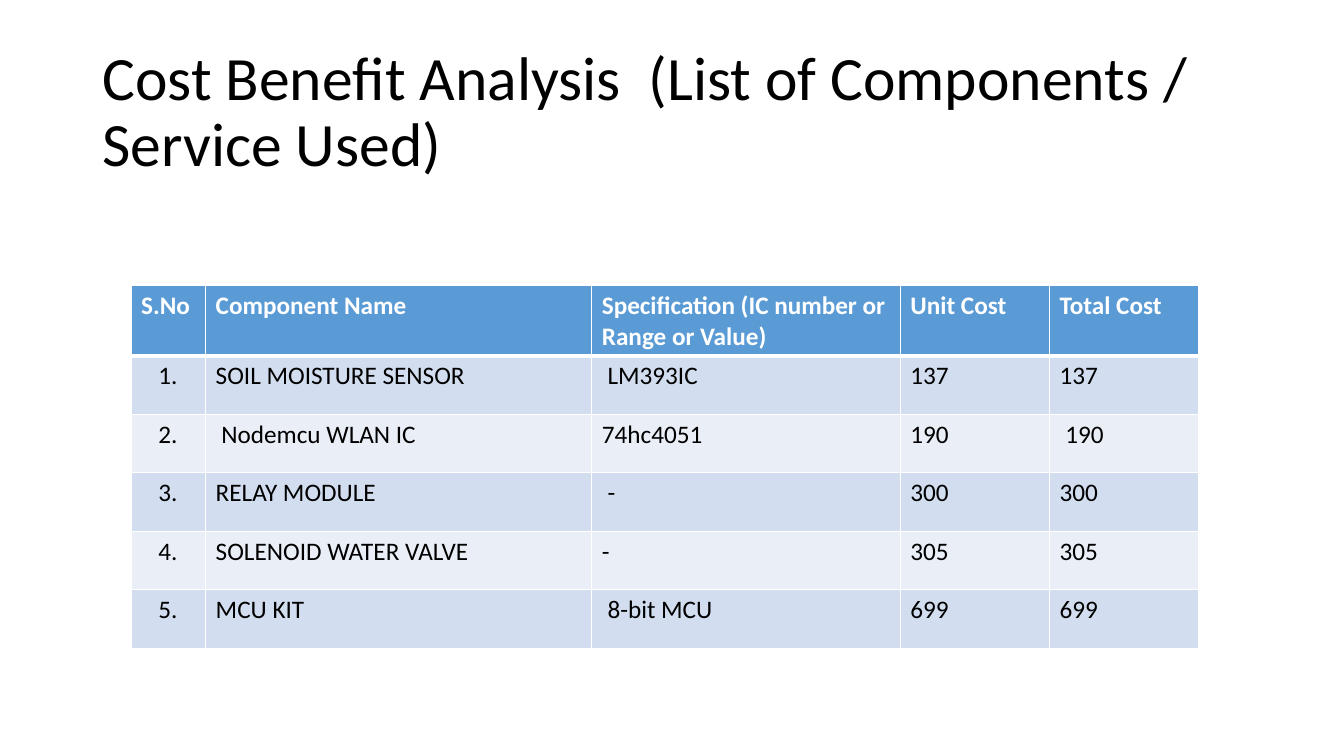
import pptx
import pptx.util
import pptx.dml.color
import pptx.enum.text
import pptx.oxml
import pptx.oxml.ns

TITLE = "Cost Benefit Analysis  (List of Components / Service Used)"
HEADINGS = ("S.No", "Component Name", "Specification (IC number or Range or Value)",
            "Unit Cost", "Total Cost")
COMPONENTS = [
    ("1.", "SOIL MOISTURE SENSOR", " LM393IC", "137", "137"),
    ("2.", " Nodemcu WLAN IC", "74hc4051", "190", " 190"),
    ("3.", "RELAY MODULE", " -", "300", "300"),
    ("4.", "SOLENOID WATER VALVE", "-", "305", "305"),
    ("5.", "MCU KIT", " 8-bit MCU", "699", "699"),
]
COLUMN_WIDTHS = (0.74, 3.83, 3.06, 1.48, 1.48)
HEADING_HEIGHT, COMPONENT_HEIGHT = 0.7, 0.58
NUMBER_INDENT = 0.27

THEME = {
    "font": "Calibri", "title_size": 44, "table_size": 18,
    "text": "000000", "heading_text": "FFFFFF", "heading_fill": "5B9BD5",
    "bands": ("D2DEEF", "EAEFF7"), "border": "FFFFFF",
    "border_width": 1, "heading_rule": 3,
}

Inches = pptx.util.Inches


def style(paragraph, size, color, bold=False):
    for run in paragraph.runs:
        run.font.name = THEME["font"]
        run.font.size = pptx.util.Pt(size)
        run.font.bold = bold
        run.font.color.rgb = pptx.dml.color.RGBColor.from_string(color)


def add_borders(cell, widths):
    properties = cell._tc.get_or_add_tcPr()
    for position, (side, width) in enumerate(widths.items()):
        properties.insert(position, pptx.oxml.parse_xml(
            f'<a:{side} {pptx.oxml.ns.nsdecls("a")} w="{pptx.util.Pt(width)}">'
            f'<a:solidFill><a:srgbClr val="{THEME["border"]}"/></a:solidFill></a:{side}>'))


def add_title(slide):
    box = slide.shapes.add_textbox(Inches(0.92), Inches(0.4), Inches(11.5), Inches(1.45))
    frame = box.text_frame
    frame.word_wrap = True
    frame.vertical_anchor = pptx.enum.text.MSO_ANCHOR.MIDDLE
    frame.text = TITLE
    frame.paragraphs[0].line_spacing = 0.9
    style(frame.paragraphs[0], THEME["title_size"], THEME["text"])


def add_cost_table(slide):
    rows = [HEADINGS, *COMPONENTS]
    heights = [HEADING_HEIGHT] + [COMPONENT_HEIGHT] * len(COMPONENTS)
    costs = slide.shapes.add_table(
        len(rows), len(HEADINGS), Inches(1.3), Inches(2.83),
        Inches(sum(COLUMN_WIDTHS)), Inches(sum(heights))).table
    for column, width in zip(costs.columns, COLUMN_WIDTHS):
        column.width = Inches(width)
    for r, (entries, height) in enumerate(zip(rows, heights)):
        costs.rows[r].height = Inches(height)
        heading = r == 0
        fill = THEME["heading_fill"] if heading else THEME["bands"][(r - 1) % 2]
        color = THEME["heading_text"] if heading else THEME["text"]
        borders = dict.fromkeys(("lnL", "lnR", "lnT", "lnB"), THEME["border_width"])
        if heading:
            borders["lnB"] = THEME["heading_rule"]
        elif r == 1:
            borders["lnT"] = THEME["heading_rule"]
        for c, entry in enumerate(entries):
            cell = costs.cell(r, c)
            cell.text_frame.text = entry
            if c == 0 and not heading:
                cell.margin_left = Inches(NUMBER_INDENT)
            cell.fill.solid()
            cell.fill.fore_color.rgb = pptx.dml.color.RGBColor.from_string(fill)
            style(cell.text_frame.paragraphs[0], THEME["table_size"], color, heading)
            add_borders(cell, borders)


def main():
    deck = pptx.Presentation()
    deck.slide_width, deck.slide_height = Inches(13.33), Inches(7.5)
    slide = deck.slides.add_slide(deck.slide_layouts[6])
    add_title(slide)
    add_cost_table(slide)
    deck.save("out.pptx")


if __name__ == "__main__":
    main()
